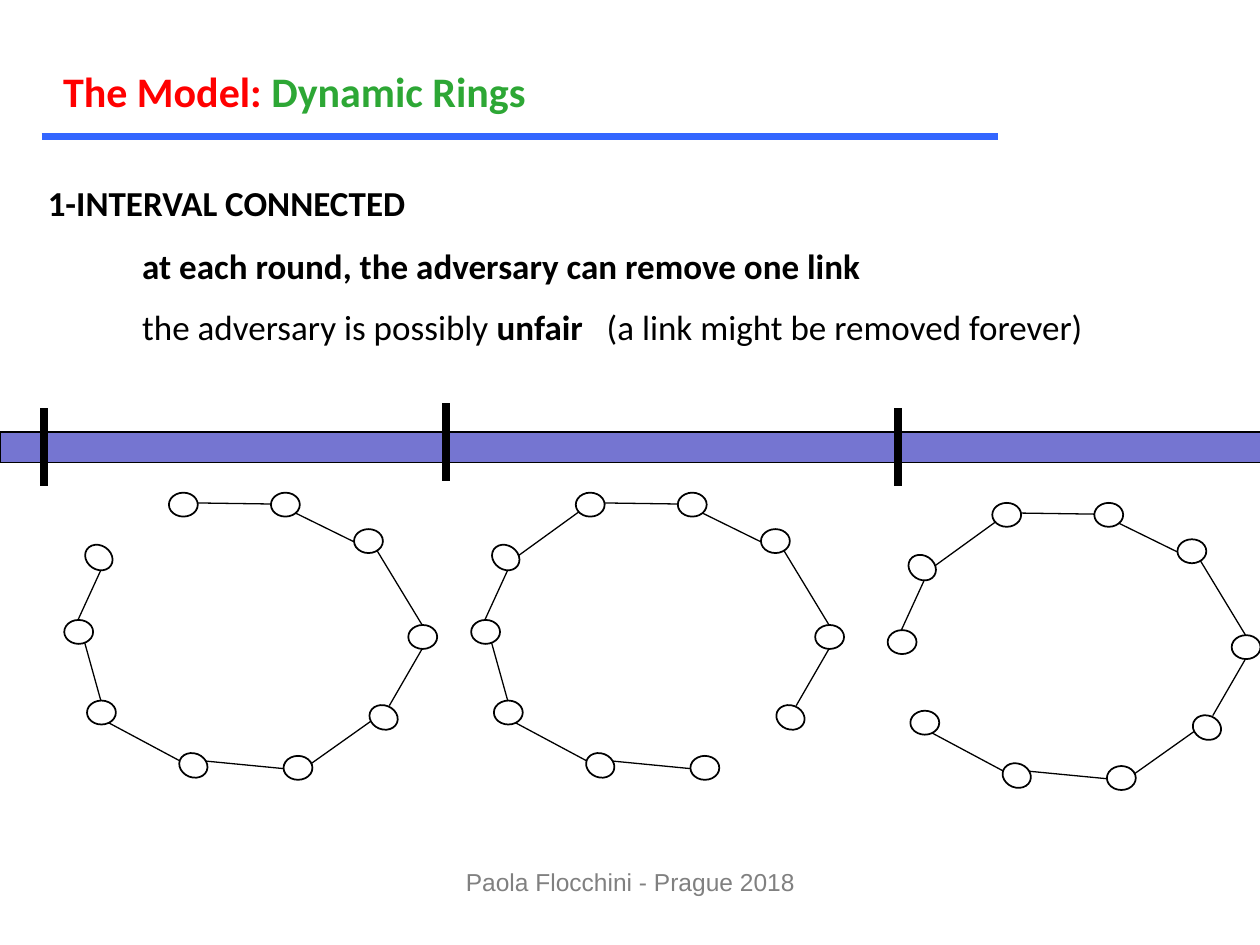
"""Build the slide on dynamic rings and 1-interval connectivity."""
from lxml import etree
from pptx import Presentation
from pptx.dml.color import RGBColor
from pptx.enum import shapes, text
from pptx.oxml.ns import qn
from pptx.util import Pt

BLACK = RGBColor(0, 0, 0)
WHITE = RGBColor(255, 255, 255)
RED = RGBColor(255, 0, 0)
GREEN = RGBColor(0x2D, 0xA7, 0x35)
BLUE = RGBColor(0x33, 0x66, 0xFF)
VIOLET = RGBColor(0x75, 0x75, 0xD1)
GREY = RGBColor(0x80, 0x80, 0x80)

NODE_WIDTH, NODE_HEIGHT = 16.5, 13.7
NODES = [
    (104.8, 288.4, 0), (163.1, 288.4, 0), (210.6, 309.2, 0),
    (241.6, 364, 0), (219.2, 410, 21.5), (170.3, 438.8, 0),
    (110.5, 437.4, 21.5), (58, 407.2, 0), (45, 361.1, 0),
    (56.5, 318.6, 33.8),
]
LINKS = [
    (105.1, 287.3, 154.8, 288), (168.5, 293, 202.3, 309.6),
    (212.4, 309.6, 241.2, 357.1), (241.2, 370.8, 222.5, 403.2),
    (212.4, 411.8, 172.8, 439.9), (162, 439.2, 110.2, 434.2),
    (103, 434.9, 59.8, 411.8), (57.6, 400.3, 48.2, 366.5),
    (44.6, 354.2, 59.8, 321.1), (59.8, 320.4, 98.6, 292.3),
]
RINGS = [(0, 0, 9), (232.5, 0, 4), (470.5, 5.8, 7)]
TICKS = [(25.2, 233.3), (254.9, 230.4), (513.4, 233.3)]
TICK_LENGTH = 44.6


def add_span(para, words, size=20, color=BLACK, bold=False, name="Calibri", spacing=0):
    """Append a formatted run to a paragraph."""
    span = para.add_run()
    span.text = words
    font = span.font
    font.size, font.bold, font.name = Pt(size), bold, name
    font.color.rgb = color
    if spacing:
        span._r.get_or_add_rPr().set("spc", str(spacing * 100))


def add_box(page, left, top, width, height, wrap=True):
    """Add an empty text box and return its text frame."""
    box = page.shapes.add_textbox(Pt(left), Pt(top), Pt(width), Pt(height))
    box.text_frame.word_wrap = wrap
    return box.text_frame


def add_line(page, x1, y1, x2, y2, color=BLACK, weight=0.75):
    """Add a straight line without shadow."""
    line = page.shapes.add_connector(
        shapes.MSO_CONNECTOR.STRAIGHT, Pt(x1), Pt(y1), Pt(x2), Pt(y2))
    line.line.color.rgb = color
    line.line.width = Pt(weight)
    etree.SubElement(line._element.spPr, qn("a:effectLst"))


def add_shape(page, kind, left, top, width, height, fill, weight, rotation=0):
    """Add a filled shape with a black outline."""
    shape = page.shapes.add_shape(kind, Pt(left), Pt(top), Pt(width), Pt(height))
    shape.shadow.inherit = False
    shape.fill.solid()
    shape.fill.fore_color.rgb = fill
    shape.line.color.rgb = BLACK
    shape.line.width = Pt(weight)
    shape.rotation = rotation


def add_ring(page, dx, dy, removed):
    """Draw one ring with the removed link left out."""
    for index, (x1, y1, x2, y2) in enumerate(LINKS):
        if index != removed:
            add_line(page, x1 + dx, y1 + dy, x2 + dx, y2 + dy)
    for x, y, rotation in NODES:
        add_shape(page, shapes.MSO_SHAPE.OVAL, x + dx - NODE_WIDTH / 2,
                  y + dy - NODE_HEIGHT / 2, NODE_WIDTH, NODE_HEIGHT,
                  WHITE, 1, rotation)


def add_title(page):
    """Place the two-coloured title and the rule below it."""
    title = page.shapes.title
    title.left, title.top, title.width, title.height = Pt(28.8), Pt(33.8), Pt(281.5), Pt(36)
    frame = title.text_frame
    frame.word_wrap = False
    frame.auto_size = text.MSO_AUTO_SIZE.NONE
    frame.vertical_anchor = text.MSO_ANCHOR.TOP
    para = frame.paragraphs[0]
    para.alignment = text.PP_ALIGN.LEFT
    add_span(para, "The Model: ", size=24, color=RED, bold=True)
    add_span(para, "Dynamic Rings", size=24, color=GREEN, bold=True)
    add_line(page, 23.8, 77.8, 570.2, 77.8, color=BLUE, weight=4)


def add_statements(page):
    """Write the heading and the two indented statements."""
    heading = add_box(page, 20.2, 100.1, 222.5, 31.7, wrap=False)
    add_span(heading.paragraphs[0], "1-INTERVAL CONNECTED", bold=True)
    frame = add_box(page, 20.2, 136, 657.4, 66.5)
    first, second = frame.paragraphs[0], frame.add_paragraph()
    for para in (first, second):
        para._p.get_or_add_pPr().set("marL", str(Pt(54)))
    second.space_before = Pt(11)
    add_span(first, "at each round, the adversary can remove one link", bold=True)
    add_span(second, "the adversary is possibly ")
    add_span(second, "unfair", bold=True)
    add_span(second, " ", spacing=9)
    add_span(second, "(a link might be removed forever)")


def add_footer(page):
    """Write the centred footer."""
    para = add_box(page, 246.2, 491.8, 228.2, 36).paragraphs[0]
    para.alignment = text.PP_ALIGN.CENTER
    add_span(para, "Paola Flocchini - Prague 2018", size=14, color=GREY, name="Arial")


def main():
    """Assemble and save the deck."""
    deck = Presentation()
    deck.slide_width, deck.slide_height = Pt(720), Pt(540)
    page = deck.slides.add_slide(deck.slide_layouts[5])
    add_title(page)
    add_statements(page)
    add_shape(page, shapes.MSO_SHAPE.RECTANGLE, 0, 246.8, 728.6, 17.5, VIOLET, 0.75)
    for x, y in TICKS:
        add_line(page, x, y, x, y + TICK_LENGTH, weight=4.5)
    for dx, dy, removed in RINGS:
        add_ring(page, dx, dy, removed)
    add_footer(page)
    deck.save("out.pptx")


if __name__ == "__main__":
    main()
